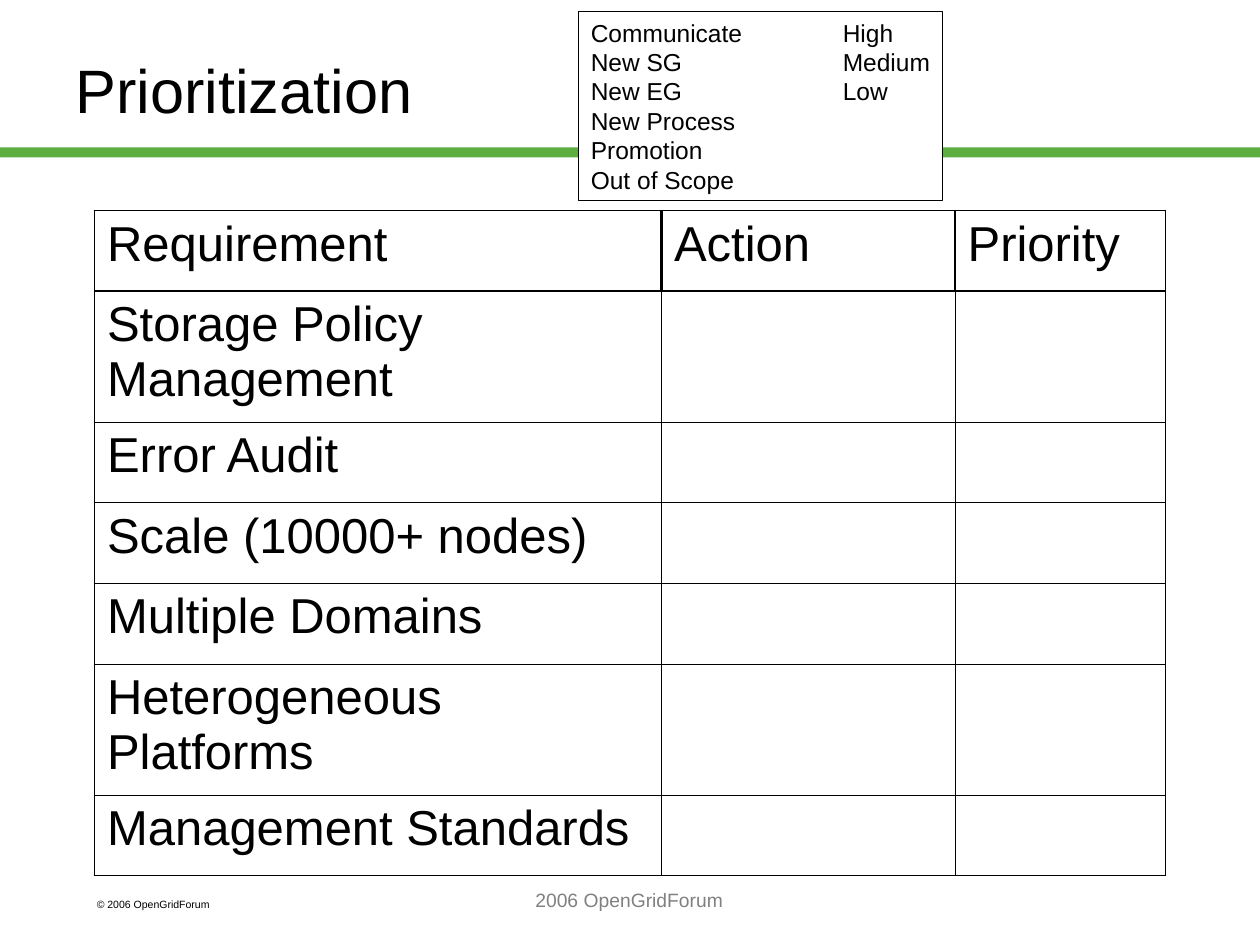
"""Build the Prioritization slide with its legend and requirements table."""
from dataclasses import dataclass
from typing import Optional

from lxml import etree
from pptx import Presentation
from pptx import util as u
from pptx.dml.color import RGBColor
from pptx.enum import shapes, text
from pptx.oxml.ns import qn


@dataclass(frozen=True)
class Theme:
    font: str = "Arial"
    ink: str = "000000"
    paper: str = "FFFFFF"
    rule: str = "5DAD41"
    muted: str = "808080"
    title: float = 35
    table: float = 28
    legend: float = 14
    footer: float = 11
    copyright: float = 6
    thin: float = 0.45
    edge: float = 1.08
    header: float = 1.47


@dataclass(frozen=True)
class Block:
    left: float
    top: float
    width: float
    height: float
    lines: tuple = ()
    size: float = 0
    colour: str = "000000"
    fill: Optional[str] = None
    line: Optional[str] = None
    anchor: text.MSO_ANCHOR = text.MSO_ANCHOR.TOP
    align: text.PP_ALIGN = text.PP_ALIGN.LEFT
    wrap: bool = True
    tabs: tuple = ()


THEME = Theme()
RULE = Block(0, 1.17, 10, 0.08, fill=THEME.rule)
COPYRIGHT = Block(0.67, 7.08, 1.5, 0.2, ("© 2006 OpenGridForum",), THEME.copyright)
TITLE = Block(0.5, 0.17, 8.5, 1.08, ("Prioritization",), THEME.title,
              anchor=text.MSO_ANCHOR.MIDDLE)
LEGEND = Block(
    4.59, 0.09, 2.89, 1.5,
    ("Communicate\tHigh", "New SG\t\tMedium", "New EG\t\tLow",
     "New Process", "Promotion", "Out of Scope"),
    THEME.legend, fill=THEME.paper, line=THEME.ink, wrap=False, tabs=(1, 2),
)
FOOTER = Block(2.08, 7, 5.83, 0.5, ("2006 OpenGridForum",), THEME.footer,
               THEME.muted, align=text.PP_ALIGN.CENTER)

HEADINGS = ("Requirement", "Action", "Priority")
REQUIREMENTS = ("Storage Policy Management", "Error Audit", "Scale (10000+ nodes)",
                "Multiple Domains", "Heterogeneous Platforms", "Management Standards")
COLUMN_WIDTHS = (4.5, 2.33, 1.67)
ROW_HEIGHTS = (0.64, 1.04, 0.64, 0.64, 0.64, 1.04, 0.64)


def apply(target, values: dict) -> None:
    """Set each named attribute on the target."""
    for name, value in values.items():
        setattr(target, name, value)


def add_tabs(para, stops: tuple) -> None:
    """Add left tab stops, given in inches, to a paragraph."""
    stop_list = etree.SubElement(para._p.get_or_add_pPr(), qn("a:tabLst"))
    for stop in stops:
        etree.SubElement(stop_list, qn("a:tab"), pos=str(u.Inches(stop)), algn="l")


def write(para, words: str, size: float, colour: str) -> None:
    """Put one formatted run into a paragraph."""
    span = para.add_run()
    span.text = words
    apply(span.font, {"name": THEME.font, "size": u.Pt(size)})
    span.font.color.rgb = RGBColor.from_string(colour)


def draw_block(page, block: Block):
    """Draw a rectangle or a text box with its lines of text."""
    place = [u.Inches(n) for n in (block.left, block.top, block.width, block.height)]
    if block.fill:
        box = page.shapes.add_shape(shapes.MSO_SHAPE.RECTANGLE, *place)
        box.shadow.inherit = False
        box.fill.solid()
        box.fill.fore_color.rgb = RGBColor.from_string(block.fill)
        if block.line:
            box.line.color.rgb = RGBColor.from_string(block.line)
            box.line.width = u.Pt(0.75)
        else:
            box.line.fill.background()
    else:
        box = page.shapes.add_textbox(*place)
    frame = box.text_frame
    apply(frame, {"word_wrap": block.wrap, "vertical_anchor": block.anchor})
    for index, words in enumerate(block.lines):
        para = frame.add_paragraph() if index else frame.paragraphs[0]
        para.alignment = block.align
        if block.tabs:
            add_tabs(para, block.tabs)
        write(para, words, block.size, block.colour)
    return box


def set_borders(cell, widths: dict) -> None:
    """Give the sides of a cell solid lines of the given widths in points."""
    properties = cell._tc.get_or_add_tcPr()
    for index, (side, width) in enumerate(widths.items()):
        line = etree.Element(qn(f"a:ln{side}"), w=str(u.Pt(width)))
        fill = etree.SubElement(line, qn("a:solidFill"))
        etree.SubElement(fill, qn("a:srgbClr"), val=THEME.ink)
        properties.insert(index, line)


def draw_table(page) -> None:
    """Draw the requirements table with a heavier header and outer edge."""
    rows = [HEADINGS] + [(name, "", "") for name in REQUIREMENTS]
    last_row, last_column = len(rows) - 1, len(HEADINGS) - 1
    grid = page.shapes.add_table(
        len(rows), len(HEADINGS), u.Inches(0.75), u.Inches(1.67),
        u.Inches(sum(COLUMN_WIDTHS)), u.Inches(sum(ROW_HEIGHTS))).table
    apply(grid, {"first_row": False, "horz_banding": False})
    for column, width in zip(grid.columns, COLUMN_WIDTHS):
        column.width = u.Inches(width)
    for row, height in zip(grid.rows, ROW_HEIGHTS):
        row.height = u.Inches(height)
    for r, row in enumerate(rows):
        inner = THEME.thin if r else THEME.header
        top = {0: THEME.edge, 1: THEME.header}.get(r, THEME.thin)
        for c, words in enumerate(row):
            cell = grid.cell(r, c)
            cell.fill.background()
            if words:
                write(cell.text_frame.paragraphs[0], words, THEME.table, THEME.ink)
            set_borders(cell, {
                "L": inner if c else THEME.edge,
                "R": inner if c < last_column else THEME.edge,
                "T": top,
                "B": inner if r < last_row else THEME.edge,
            })


def main() -> None:
    """Assemble the slide and save it."""
    deck = Presentation()
    apply(deck, {"slide_width": u.Inches(10), "slide_height": u.Inches(7.5)})
    page = deck.slides.add_slide(deck.slide_layouts[6])
    for block in (RULE, COPYRIGHT, TITLE, LEGEND):
        draw_block(page, block)
    draw_table(page)
    draw_block(page, FOOTER)
    deck.save("out.pptx")


if __name__ == "__main__":
    main()
